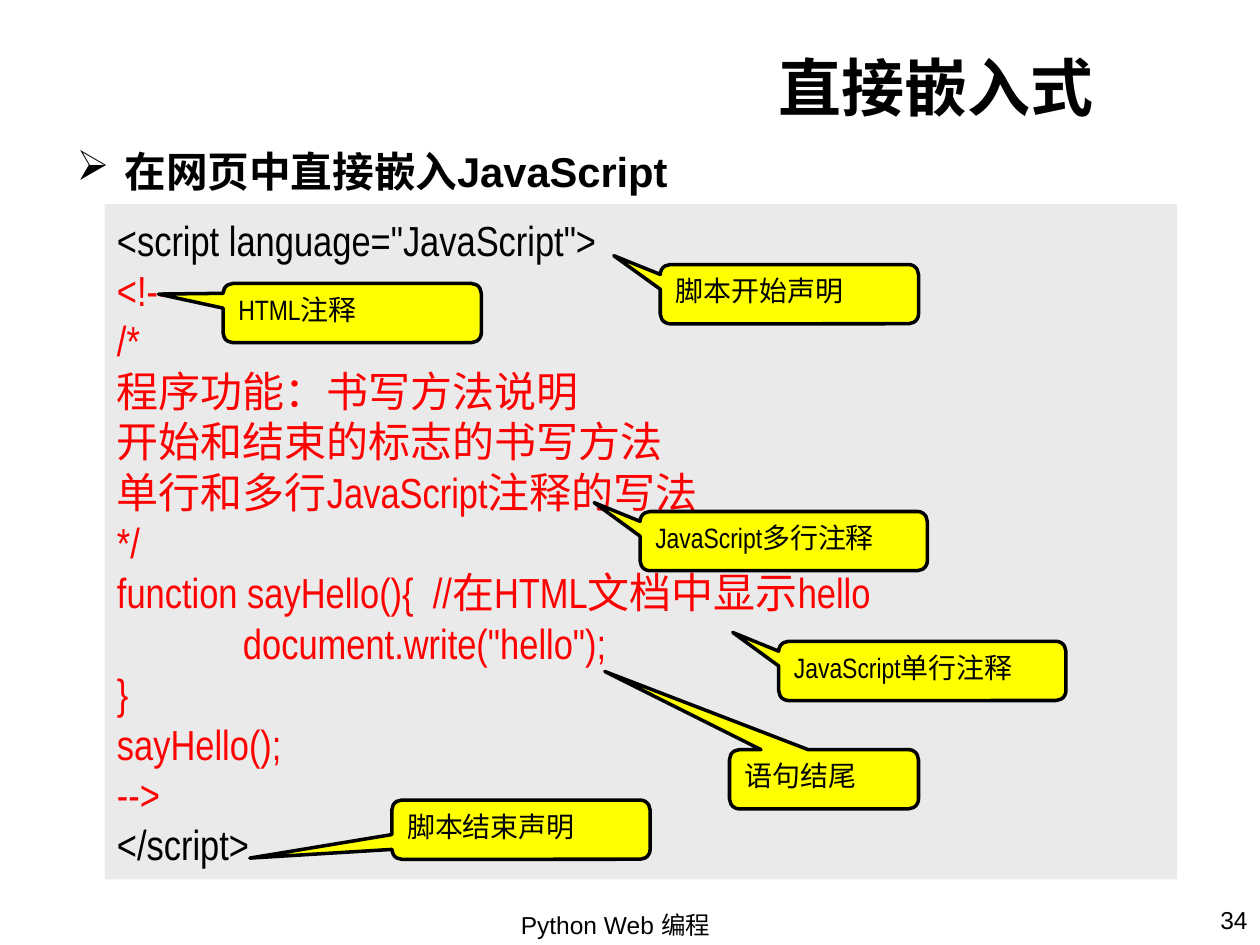
from pptx import Presentation
from pptx.dml.color import RGBColor
from pptx.enum.shapes import MSO_SHAPE
from pptx.enum.text import MSO_ANCHOR, PP_ALIGN
from pptx.oxml.ns import qn
from pptx.util import Inches, Pt
from lxml import etree

BLACK = RGBColor(0x00, 0x00, 0x00)
RED = RGBColor(0xFF, 0x00, 0x00)
YELLOW = RGBColor(0xFF, 0xFF, 0x00)
GREY = RGBColor(0xEA, 0xEA, 0xEA)

RECT = MSO_SHAPE.RECTANGLE
CALLOUT = MSO_SHAPE.ROUNDED_RECTANGULAR_CALLOUT
TOP, MIDDLE = MSO_ANCHOR.TOP, MSO_ANCHOR.MIDDLE
LEFT, CENTER, RIGHT = PP_ALIGN.LEFT, PP_ALIGN.CENTER, PP_ALIGN.RIGHT

TITLE = {"name": "Arial", "size": Pt(36), "bold": True}
HEADING = {"name": "Arial", "size": Pt(23.8), "bold": True}
CODE = {"name": "Arial Narrow", "size": Pt(24)}
NOTE = {"name": "Arial Narrow", "size": Pt(16)}
FOOTER = {"name": "Arial", "size": Pt(14)}

CODE_LINES = [
    '<script language="JavaScript">',
    "<!--",
    "/*",
    "程序功能：书写方法说明",
    "开始和结束的标志的书写方法",
    "单行和多行JavaScript注释的写法",
    "*/",
    "function sayHello(){  //在HTML文档中显示hello",
    '\tdocument.write("hello");',
    "}",
    "sayHello();",
    "-->",
    "</script>",
]

# text, left, top, width, pointer offset from the centre (x, y)
CALLOUT_HEIGHT = 0.47
CALLOUTS = [
    ("脚本开始声明", 5.24, 2.1, 2.05, (-0.68, -0.65)),
    ("HTML注释", 1.77, 2.25, 2.05, (-0.75, -0.32)),
    ("JavaScript多行注释", 5.08, 4.06, 2.28, (-0.66, -0.65)),
    ("JavaScript单行注释", 6.18, 5.09, 2.28, (-0.66, -0.65)),
    ("脚本结束声明", 3.11, 6.35, 2.05, (-1.05, 0.48)),
    ("语句结尾", 5.79, 5.95, 1.5, (-1.16, -1.82)),
]


def add_tab_stop(p, position):
    tabs = etree.SubElement(p._p.get_or_add_pPr(), qn("a:tabLst"))
    etree.SubElement(tabs, qn("a:tab"), pos=str(position), algn="l")


def add_bullet(p, char, indent):
    pPr = p._p.get_or_add_pPr()
    pPr.set("marL", str(indent))
    pPr.set("indent", str(-indent))
    etree.SubElement(pPr, qn("a:buChar"), char=char)


def write(p, text, style, color=BLACK, align=LEFT):
    p.alignment = align
    r = p.add_run()
    r.text = text
    for key, value in style.items():
        setattr(r.font, key, value)
    r.font.color.rgb = color


def add_text(s, box, text, style, align=LEFT, anchor=TOP):
    tf = s.shapes.add_textbox(*map(Inches, box)).text_frame
    tf.word_wrap = True
    tf.vertical_anchor = anchor
    write(tf.paragraphs[0], text, style, align=align)
    return tf.paragraphs[0]


def add_filled(s, kind, box, fill, anchor):
    sp = s.shapes.add_shape(kind, *map(Inches, box))
    sp.shadow.inherit = False
    sp.fill.solid()
    sp.fill.fore_color.rgb = fill
    sp.line.fill.background()
    sp.text_frame.word_wrap = True
    sp.text_frame.vertical_anchor = anchor
    return sp


def add_code(s, box, lines):
    tf = add_filled(s, RECT, box, GREY, MIDDLE).text_frame
    for i, line in enumerate(lines):
        p = tf.add_paragraph() if i else tf.paragraphs[0]
        if line.startswith("\t"):
            add_tab_stop(p, Inches(1))
        # The script tags are black, everything between them is red
        write(p, line, CODE, BLACK if i in (0, len(lines) - 1) else RED)


def add_callout(s, text, left, top, width, pointer):
    sp = add_filled(s, CALLOUT, (left, top, width, CALLOUT_HEIGHT), YELLOW, TOP)
    sp.line.color.rgb = BLACK
    sp.line.width = Pt(2)
    for i, value in enumerate(pointer):
        sp.adjustments[i] = value
    write(sp.text_frame.paragraphs[0], text, NOTE)


def main():
    prs = Presentation()
    prs.slide_width, prs.slide_height = Inches(10), Inches(7.5)
    s = prs.slides.add_slide(prs.slide_layouts[6])

    # Code panel
    add_code(s, (0.83, 1.62, 8.51, 5.36), CODE_LINES)

    # Title and heading
    add_text(s, (1.83, 0.3, 6.95, 0.77), "直接嵌入式", TITLE, RIGHT, MIDDLE)
    p = add_text(s, (0.51, 1.11, 9.17, 0.51), "在网页中直接嵌入JavaScript", HEADING)
    add_bullet(p, "➢", Inches(0.38))

    # Callouts on the code
    for callout in CALLOUTS:
        add_callout(s, *callout)

    # Slide number and footer
    add_text(s, (8.39, 7.13, 1.61, 0.37), "34", FOOTER, RIGHT)
    add_text(s, (3.9, 7.17, 1.97, 0.44), "Python Web 编程", FOOTER, CENTER)

    prs.save("out.pptx")


if __name__ == "__main__":
    main()
